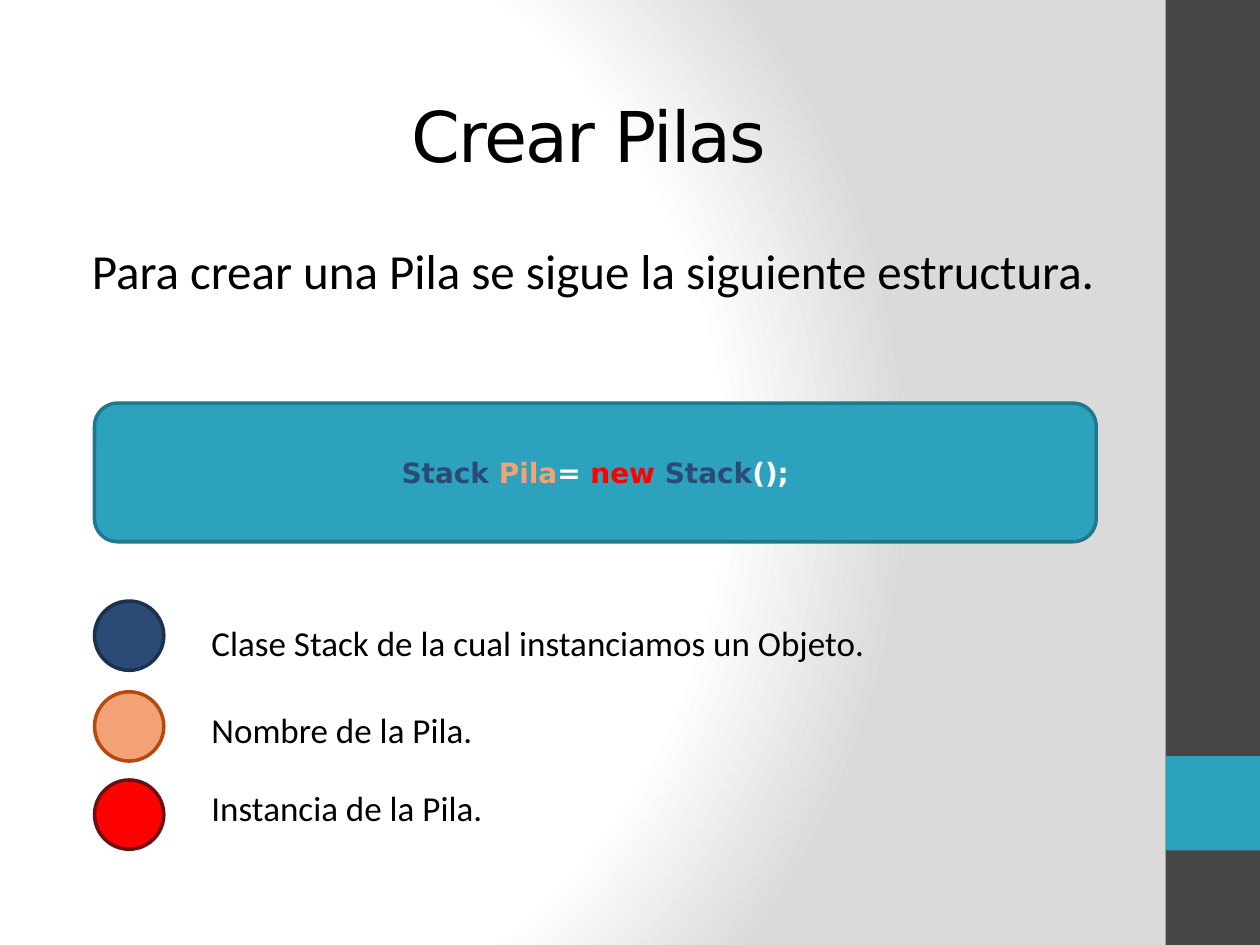
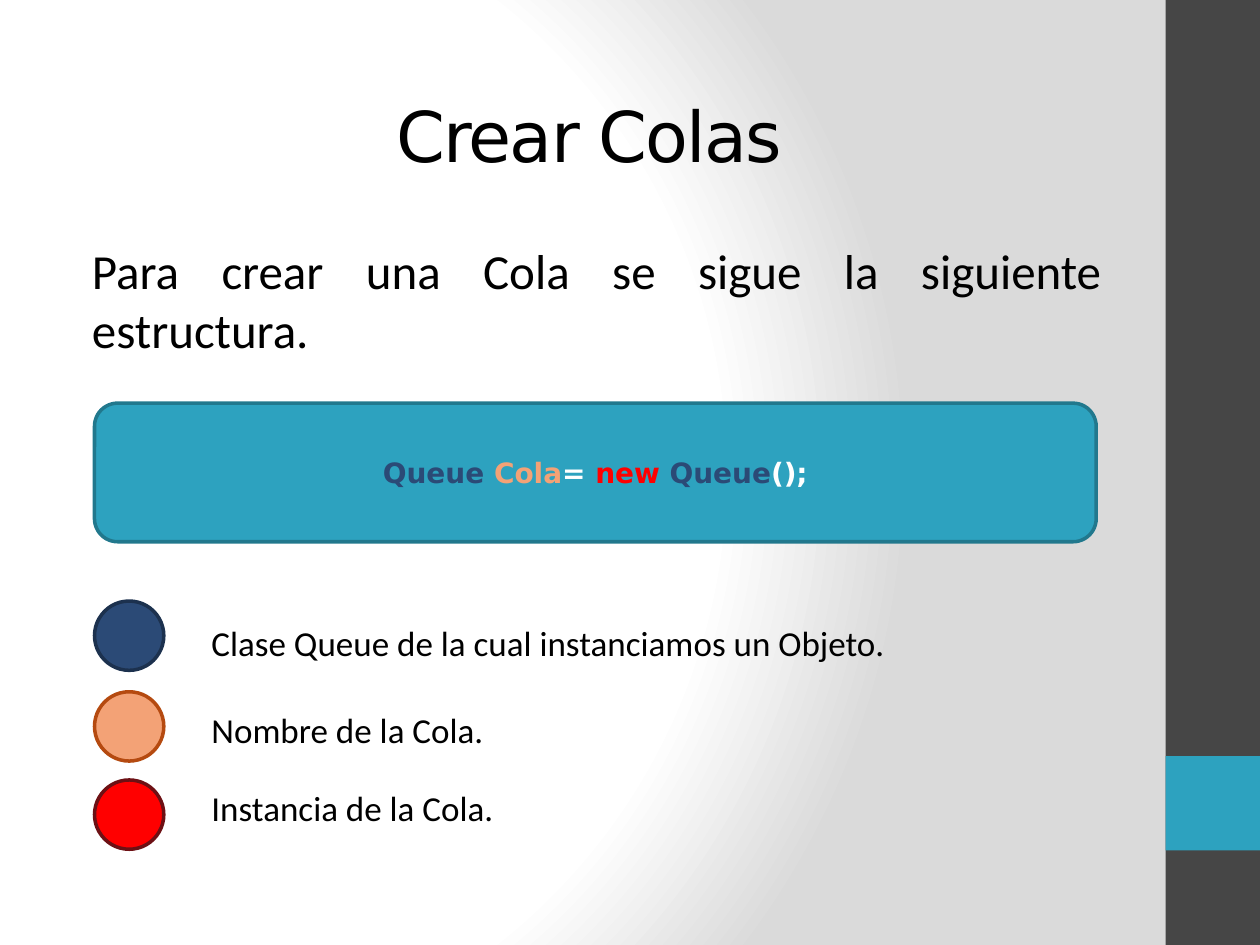
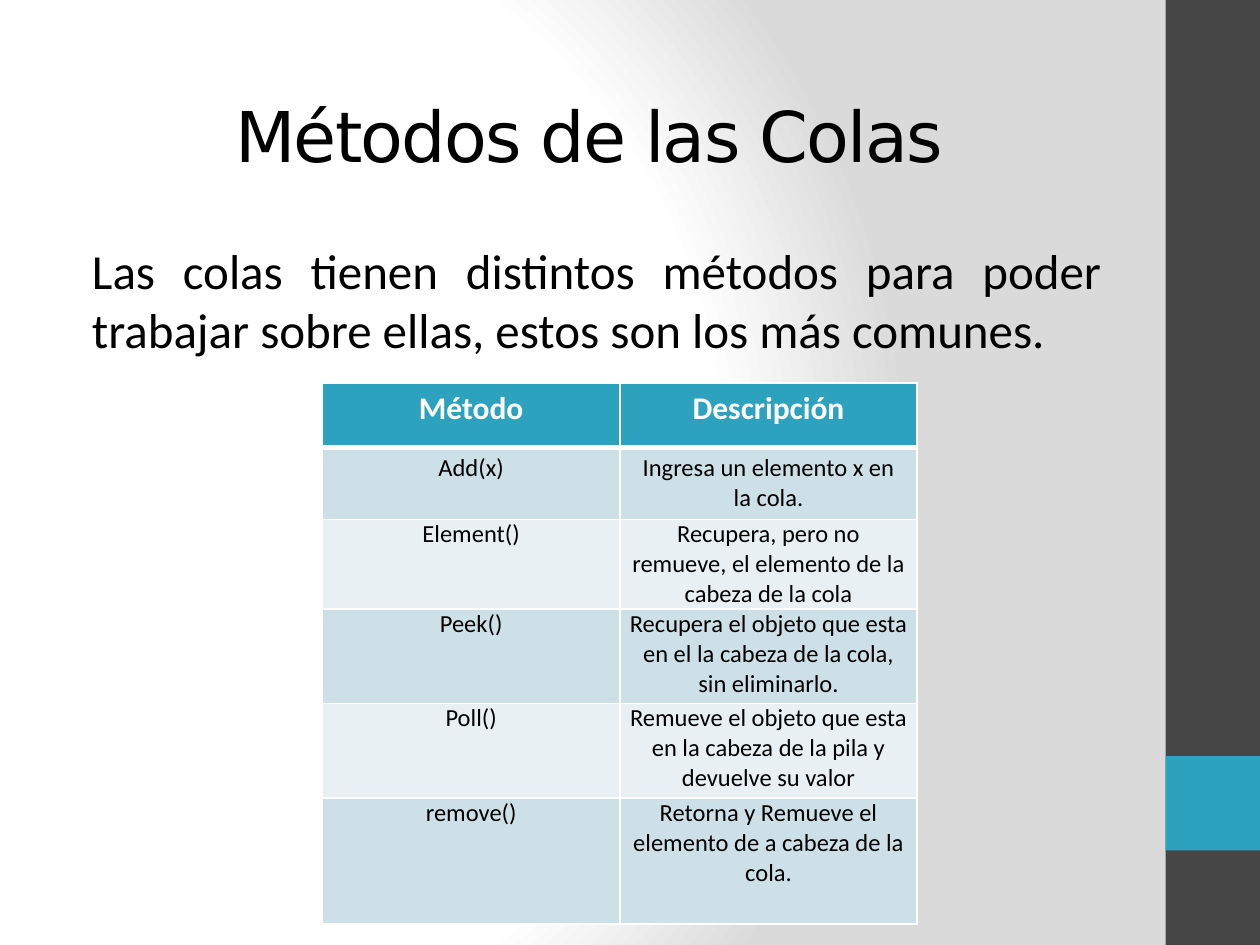
"""Builds three slides on stacks and queues."""
import pptx
import pptx.dml.color
import pptx.enum.shapes
import pptx.enum.text
import pptx.oxml
import pptx.oxml.ns
import pptx.util

Inches, Pt = pptx.util.Inches, pptx.util.Pt
ALIGN, ANCHOR = pptx.enum.text.PP_ALIGN, pptx.enum.text.MSO_ANCHOR
SHAPE = pptx.enum.shapes.MSO_SHAPE
A_NS = pptx.oxml.ns.nsdecls("a")

TEAL, TEAL_EDGE, DARK, SILVER = "2DA2BF", "21788D", "464646", "DADADA"
BLACK, WHITE, NAVY, ORANGE, RED = "000000", "FFFFFF", "2B4A76", "F3A276", "FF0000"
ROW_FILLS = ["E8F0F4", "CDE0E8"]
HEAD_FONT, TEXT_FONT = "DejaVu Sans", "Calibri"

TITLE_BOX = (0.51, 0.44, 8.33, 1.25)
BODY_BOX = (0.51, 1.86, 8.33, 0.98)
CODE_BOX = (0.75, 3.2, 7.95, 1.1)
LEGEND_BOX = (0.75, 4.77, 7.95, 1.97)
TABLE_BOX = (2.56, 3.04, 4.72, 4.03)
# Legend keys: fill, edge, dot offset, text offset
KEYS = [(NAVY, "1C314E", 0, 0.11), (ORANGE, "B54A10", 0.72, 0.8), (RED, "6D1014", 1.42, 1.42)]
ROW_HEIGHTS = [0.51, 0.51, 0.51, 0.75, 0.75, 1]
METHODS = [
    ("Método", "Descripción"),
    ("Add(x)", "Ingresa un elemento x en la cola."),
    ("Element()", "Recupera, pero no remueve, el elemento de la cabeza de la cola"),
    ("Peek()", "Recupera el objeto que esta en el la cabeza de la cola, sin eliminarlo."),
    ("Poll()", "Remueve el objeto que esta en la cabeza de la pila y devuelve su valor"),
    ("remove()", "Retorna y Remueve el elemento de a cabeza de la cola."),
]


def rgb(color):
    """Turn a hex string into a colour."""
    return pptx.dml.color.RGBColor.from_string(color)


def inches(box):
    """Turn a box of numbers into lengths."""
    return [Inches(v) for v in box]


def set_attrs(obj, values):
    """Set each attribute named in a dict."""
    for name, value in values.items():
        setattr(obj, name, value)


def place(sp, box):
    """Move and size a shape to a box."""
    set_attrs(sp, dict(zip(("left", "top", "width", "height"), inches(box))))


def add_run(p, text, color=BLACK, **font):
    """Add a formatted run to a paragraph."""
    r = p.add_run()
    r.text = text
    set_attrs(r.font, font)
    r.font.color.rgb = rgb(color)
    return r


def indent(p):
    """Justify a paragraph with a small left margin and no bullet."""
    p.alignment = ALIGN.JUSTIFY
    pPr = p._p.get_or_add_pPr()
    pPr.set("marL", str(Inches(0.12)))
    pPr.set("indent", "0")
    pPr.append(pptx.oxml.parse_xml(f"<a:buNone {A_NS}/>"))


def add_block(slide, kind, box, fill, edge=None):
    """Add a flat preset shape, with an edge when one is given."""
    sp = slide.shapes.add_shape(kind, *inches(box))
    sp.shadow.inherit = False
    sp.fill.solid()
    sp.fill.fore_color.rgb = rgb(fill)
    if edge:
        sp.line.color.rgb = rgb(edge)
        sp.line.width = Pt(2)
    else:
        sp.line.fill.background()
    return sp


def style_master(prs, slide):
    """Give the master its gradient background and side bands."""
    master = prs.slide_master
    master.background.fill.solid()
    bgPr = master.element.xpath(".//p:bgPr")[0]
    stops = "".join(f'<a:gs pos="{pos}000"><a:srgbClr val="{color}"/></a:gs>'
                    for pos, color in [(0, WHITE), (75, WHITE), (100, SILVER)])
    bgPr.replace(bgPr[0], pptx.oxml.parse_xml(
        f'<a:gradFill {A_NS} rotWithShape="1"><a:gsLst>{stops}</a:gsLst><a:path path="circle">'
        '<a:fillToRect l="20000" t="50000" r="100000" b="50000"/></a:path></a:gradFill>'))
    bands = [((9.25, 0, 0.75, 7.5), DARK), ((9.25, 6, 0.75, 0.75), TEAL)]
    for i, (box, fill) in enumerate(bands):
        band = add_block(slide, SHAPE.RECTANGLE, box, fill)
        master.shapes.element.insert(2 + i, band.element)


def add_slide(prs, title, intro):
    """Add a slide with its title and introductory paragraph."""
    slide = prs.slides.add_slide(prs.slide_layouts[1])
    head, body = slide.placeholders
    place(head, TITLE_BOX)
    place(body, BODY_BOX)
    for sp, anchor in ((head, ANCHOR.MIDDLE), (body, ANCHOR.TOP)):
        set_attrs(sp.text_frame, {"word_wrap": True, "vertical_anchor": anchor,
                                  "auto_size": pptx.enum.text.MSO_AUTO_SIZE.NONE})
    p = head.text_frame.paragraphs[0]
    p.alignment = ALIGN.CENTER
    r = add_run(p, title, name=HEAD_FONT, size=Pt(40))
    r.font._element.set("spc", "-100")
    p = body.text_frame.paragraphs[0]
    indent(p)
    add_run(p, intro, name=TEXT_FONT, size=Pt(28))
    return slide


def add_code(slide, box, cls, var):
    """Add the rounded box with the coloured line of code."""
    sp = add_block(slide, SHAPE.ROUNDED_RECTANGLE, box, TEAL, TEAL_EDGE)
    sp.text_frame.vertical_anchor = ANCHOR.MIDDLE
    p = sp.text_frame.paragraphs[0]
    p.alignment = ALIGN.CENTER
    for text, color in [(cls + " ", NAVY), (var, ORANGE), ("= ", WHITE),
                        ("new ", RED), (cls, NAVY), ("();", WHITE)]:
        add_run(p, text, color, name=HEAD_FONT, size=Pt(16), bold=True)


def add_legend(slide, box, labels):
    """Add one coloured dot and label for each part of the code."""
    x, y, w, _ = box
    for fill, edge, dot_dy, _ in KEYS:
        add_block(slide, SHAPE.OVAL, (x, y + dot_dy, 0.55, 0.55), fill, edge)
    for (*_, text_dy), label in zip(KEYS, labels):
        sp = slide.shapes.add_textbox(*inches((x + 0.71, y + text_dy, w - 0.71, 0.49)))
        sp.text_frame.word_wrap = True
        p = sp.text_frame.paragraphs[0]
        indent(p)
        p.space_before = Pt(4)
        add_run(p, label, name=TEXT_FONT, size=Pt(20))


def set_borders(cell, top, bottom):
    """Draw white cell borders, with top and bottom widths in points."""
    tcPr = cell._tc.get_or_add_tcPr()
    for i, (side, width) in enumerate([("L", 1), ("R", 1), ("T", top), ("B", bottom)]):
        tcPr.insert(i, pptx.oxml.parse_xml(
            f'<a:ln{side} {A_NS} w="{Pt(width)}"><a:solidFill><a:srgbClr val="{WHITE}"/>'
            f"</a:solidFill></a:ln{side}>"))


def add_methods_table(slide, box, rows):
    """Add the table of methods under a header row."""
    table = slide.shapes.add_table(len(rows), len(rows[0]), *inches(box)).table
    for i, (row, height) in enumerate(zip(rows, ROW_HEIGHTS)):
        table.rows[i].height = Inches(height)
        header = i == 0
        for j, text in enumerate(row):
            cell = table.cell(i, j)
            cell.fill.solid()
            cell.fill.fore_color.rgb = rgb(TEAL if header else ROW_FILLS[i % 2])
            set_borders(cell, 3 if i == 1 else 1, 3 if header else 1)
            p = cell.text_frame.paragraphs[0]
            p.alignment = ALIGN.CENTER
            if i > 1:
                set_attrs(cell, {"margin_left": Inches(0.07), "margin_right": Inches(0.07),
                                 "margin_top": 0, "margin_bottom": 0})
                set_attrs(p, {"space_before": Pt(6), "space_after": Pt(6)})
            add_run(p, text, WHITE if header else BLACK, name=TEXT_FONT,
                    size=Pt(18 if header else 14), bold=header)


def creation_slide(prs, cls, var):
    """Add a slide on how to create one kind of structure."""
    slide = add_slide(prs, f"Crear {var}s",
                      f"Para crear una {var} se sigue la siguiente estructura.")
    add_code(slide, CODE_BOX, cls, var)
    add_legend(slide, LEGEND_BOX, [f"Clase {cls} de la cual instanciamos un Objeto.",
                                   f"Nombre de la {var}.", f"Instancia de la {var}."])
    return slide


def methods_slide(prs):
    """Add the slide with the queue methods."""
    slide = add_slide(prs, "Métodos de las Colas",
                      "Las colas tienen distintos métodos para poder trabajar sobre ellas, "
                      "estos son los más comunes.")
    add_methods_table(slide, TABLE_BOX, METHODS)


prs = pptx.Presentation()
set_attrs(prs, {"slide_width": Inches(10), "slide_height": Inches(7.5)})
first = creation_slide(prs, "Stack", "Pila")
style_master(prs, first)
creation_slide(prs, "Queue", "Cola")
methods_slide(prs)
prs.save("out.pptx")
